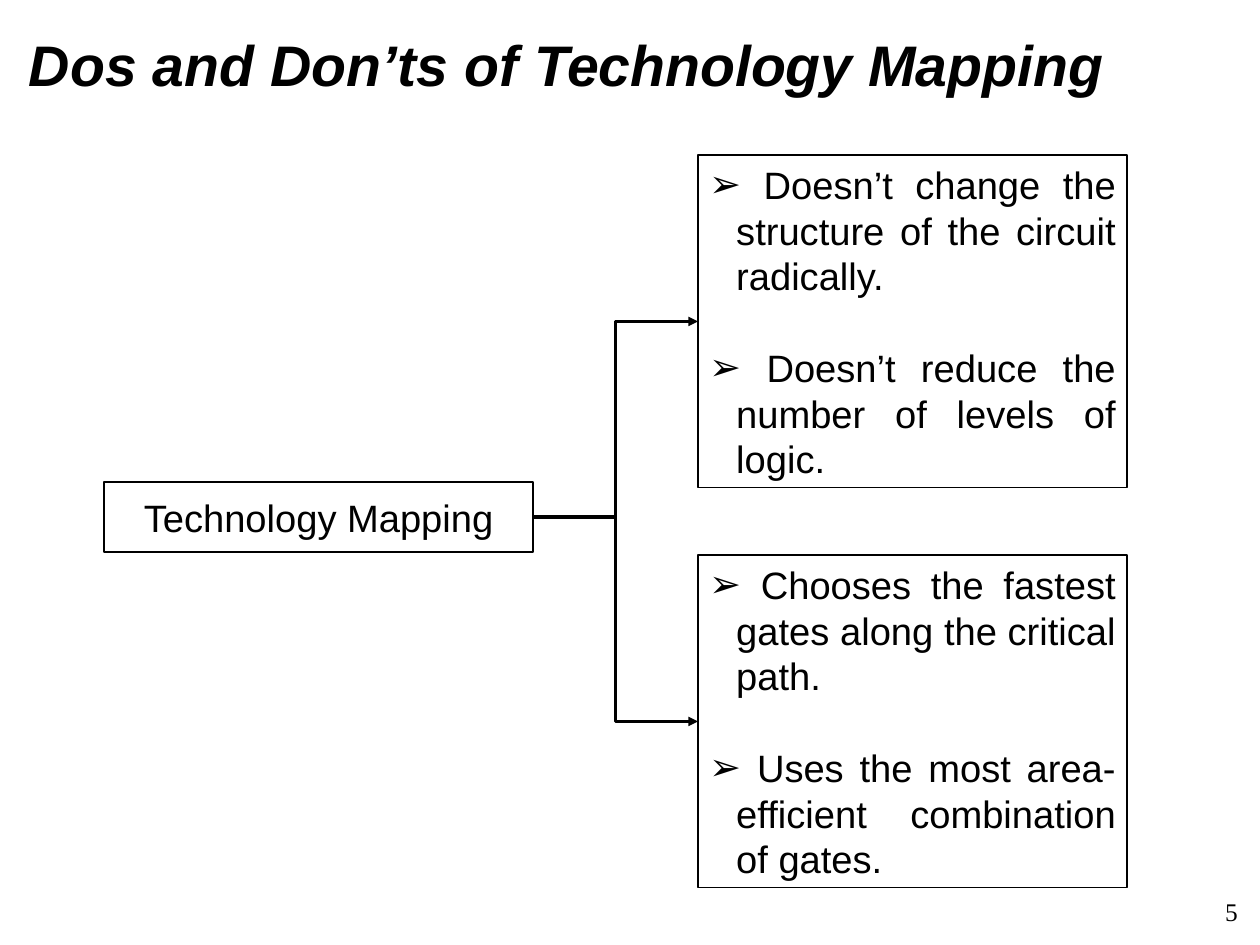
"""Build a slide on what technology mapping does and does not do."""
from dataclasses import dataclass

from lxml import etree
from pptx import Presentation
from pptx import util as u
from pptx.dml.color import RGBColor
from pptx.enum import shapes, text
from pptx.oxml.ns import qn

TITLE = "Dos and Don’ts of Technology Mapping"
PAGE = "5"
HUB = "Technology Mapping"
OUTCOMES = [
    [" Doesn’t change the structure of the circuit radically.",
     " Doesn’t reduce the number of levels of logic."],
    [" Chooses the fastest gates along the critical path.",
     " Uses the most area-efficient combination of gates."],
]

SLIDE = (1260, 945)
TITLE_BOX = (29, 8, 1200, 112)
PAGE_BOX = (1200, 877, 63, 69)
HUB_BOX = (104, 482, 429, 70)
OUTCOME_BOX = (698, 155, 429, 333)
OUTCOME_PITCH = 400
INDENT = 27


@dataclass(frozen=True)
class Theme:
    ink: RGBColor = RGBColor(0, 0, 0)
    paper: RGBColor = RGBColor(255, 255, 255)
    sans: str = "Arial"
    serif: str = "Times New Roman"
    title: int = 36
    body: int = 24
    page: int = 16
    leading: float = 1.2
    bullet: str = "➢"


THEME = Theme()


def px(length):
    return u.Emu(length * 8000)


def style(paragraph, size, face, align):
    paragraph.alignment = align
    paragraph.line_spacing = u.Pt(size * THEME.leading)
    font = paragraph.font
    font.name, font.size = face, u.Pt(size)
    font.color.rgb = THEME.ink


def add_bullet(paragraph):
    props = paragraph._p.get_or_add_pPr()
    props.set("marL", str(px(INDENT)))
    props.set("indent", str(-px(INDENT)))
    color = etree.SubElement(props, qn("a:buClr"))
    etree.SubElement(color, qn("a:srgbClr"), val=str(THEME.ink))
    etree.SubElement(props, qn("a:buFont"), typeface=THEME.sans)
    etree.SubElement(props, qn("a:buChar"), char=THEME.bullet)


def add_label(slide, place, words, size, face, align, wrap):
    label = slide.shapes.add_textbox(*map(px, place))
    frame = label.text_frame
    frame.word_wrap = wrap
    frame.vertical_anchor = text.MSO_ANCHOR.MIDDLE
    frame.text = words
    style(frame.paragraphs[0], size, face, align)
    return frame


def add_box(slide, place, lines, align, bulleted):
    box = slide.shapes.add_shape(shapes.MSO_SHAPE.RECTANGLE, *map(px, place))
    box.shadow.inherit = False
    box.fill.solid()
    box.fill.fore_color.rgb = THEME.paper
    box.line.color.rgb = THEME.ink
    box.line.width = u.Pt(0)
    frame = box.text_frame
    frame.word_wrap = True
    frame.vertical_anchor = text.MSO_ANCHOR.MIDDLE
    frame.text = "\n".join(lines)
    for index, paragraph in enumerate(frame.paragraphs):
        if bulleted:
            add_bullet(paragraph)
        if index:
            paragraph.space_before = u.Pt(THEME.body * THEME.leading)
        style(paragraph, THEME.body, THEME.sans, align)
    return box


def add_arrow(slide, start, end):
    arrow = slide.shapes.add_connector(shapes.MSO_CONNECTOR.ELBOW, 0, 0, 0, 0)
    arrow.begin_connect(start, 3)
    arrow.end_connect(end, 1)
    arrow.line.color.rgb = THEME.ink
    arrow.line.width = u.Pt(0)
    etree.SubElement(arrow.line._get_or_add_ln(), qn("a:tailEnd"), type="triangle")
    etree.SubElement(arrow._element.spPr, qn("a:effectLst"))


def main():
    deck = Presentation()
    deck.slide_width, deck.slide_height = map(px, SLIDE)
    slide = deck.slides.add_slide(deck.slide_layouts[6])

    title = add_label(slide, TITLE_BOX, TITLE, THEME.title, THEME.sans,
                      text.PP_ALIGN.LEFT, True)
    title.margin_left = title.margin_right = 0
    title.margin_top = title.margin_bottom = 0
    title.paragraphs[0].font.bold = True
    title.paragraphs[0].font.italic = True
    add_label(slide, PAGE_BOX, PAGE, THEME.page, THEME.serif,
              text.PP_ALIGN.CENTER, False)

    hub = add_box(slide, HUB_BOX, [HUB], text.PP_ALIGN.CENTER, False)
    left, top, width, height = OUTCOME_BOX
    for row, points in enumerate(OUTCOMES):
        place = (left, top + row * OUTCOME_PITCH, width, height)
        outcome = add_box(slide, place, points, text.PP_ALIGN.JUSTIFY, True)
        add_arrow(slide, hub, outcome)

    deck.save("out.pptx")


if __name__ == "__main__":
    main()
